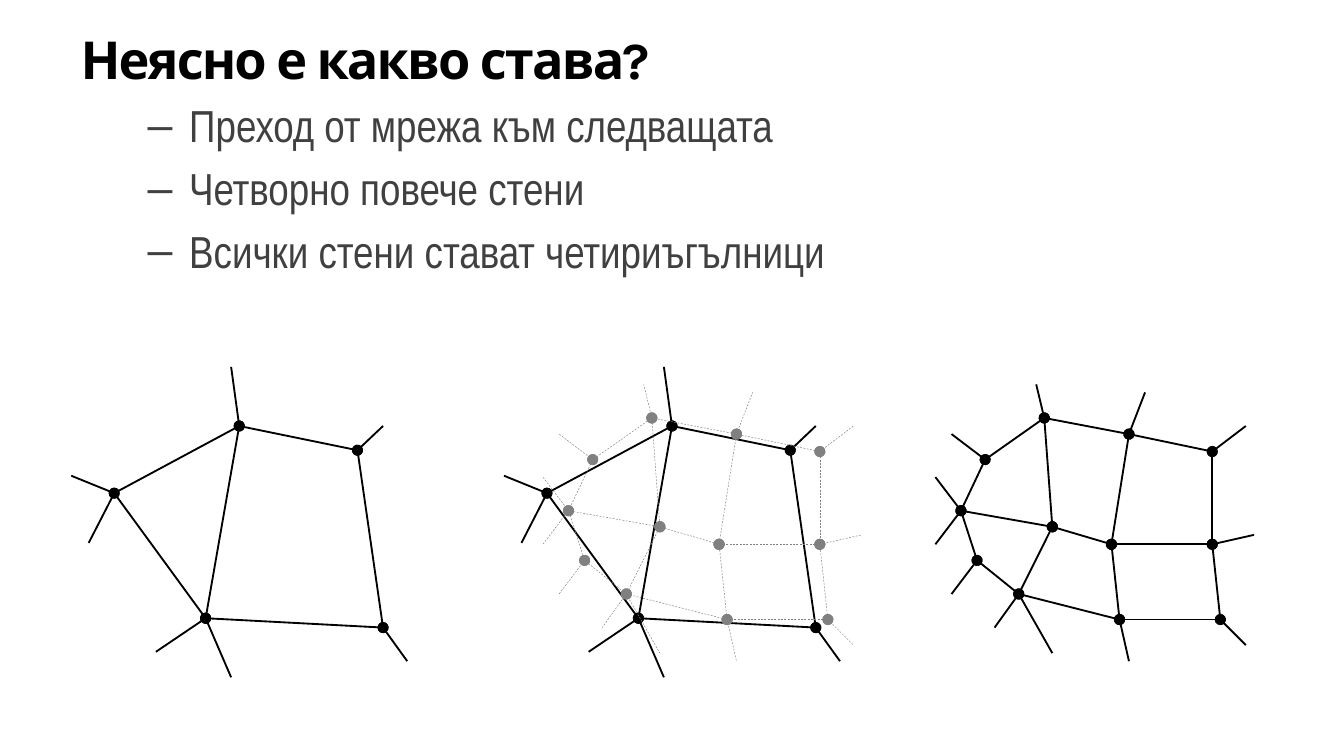
from dataclasses import dataclass
from typing import Optional

from lxml import etree
from pptx import Presentation
from pptx.dml.color import RGBColor
from pptx.enum.dml import MSO_LINE
from pptx.enum.shapes import MSO_CONNECTOR
from pptx.enum.text import MSO_ANCHOR, MSO_AUTO_SIZE, PP_ALIGN
from pptx.oxml.ns import qn
from pptx.util import Inches, Pt

BLACK = RGBColor(0x00, 0x00, 0x00)
DARK_GREY = RGBColor(0x40, 0x40, 0x40)
GREY = RGBColor(0x80, 0x80, 0x80)
DASH = MSO_LINE.DASH
STRAIGHT = MSO_CONNECTOR.STRAIGHT
LEFT = PP_ALIGN.LEFT
TOP = MSO_ANCHOR.TOP
NO_AUTOFIT = MSO_AUTO_SIZE.NONE
TITLE_ONLY = 5

TITLE = "Неясно е какво става?"
BULLETS = [
    "Преход от мрежа към следващата",
    "Четворно повече стени",
    "Всички стени стават четириъгълници",
]

Point = tuple[float, float]


@dataclass(frozen=True)
class Mesh:
    """Named vertices, edges as vertex pairs, and open rays leaving a vertex."""
    vertices: dict[str, Point]
    edges: str
    rays: list[tuple[str, Point]]


@dataclass(frozen=True)
class Pen:
    color: RGBColor
    width: float
    dash: Optional[MSO_LINE] = None


SOLID_PEN = Pen(BLACK, 1)
DASHED_PEN = Pen(GREY, 0.25, DASH)

COARSE_MESH = Mesh(
    vertices={
        "A": (1.78, 3.17), "B": (2.66, 3.35), "C": (0.85, 3.67),
        "D": (1.53, 4.60), "E": (2.85, 4.67),
    },
    edges="BA AD ED BE AC CD",
    rays=[
        ("A", (1.72, 2.73)), ("B", (2.85, 3.17)), ("E", (3.03, 4.92)),
        ("C", (0.53, 3.54)), ("C", (0.66, 4.04)),
        ("D", (1.16, 4.85)), ("D", (1.72, 5.04)),
    ],
)
FINE_MESH = Mesh(
    vertices={
        "A": (7.77, 3.11), "B": (8.40, 3.23), "C": (9.02, 3.36),
        "D": (7.33, 3.42), "E": (7.15, 3.80), "F": (7.83, 3.92),
        "G": (8.27, 4.05), "H": (9.02, 4.05), "I": (7.27, 4.17),
        "J": (7.58, 4.42), "K": (8.33, 4.61), "L": (9.08, 4.61),
    },
    edges="FG CH GB BA AF CB HG KG LH JF DA EF IJ LK KJ DE EI",
    rays=[
        ("C", (9.27, 3.17)), ("H", (9.33, 3.98)), ("L", (9.27, 4.80)),
        ("K", (8.40, 4.92)), ("J", (7.83, 4.86)), ("J", (7.40, 4.67)),
        ("I", (7.08, 4.42)), ("E", (6.96, 4.05)), ("E", (6.96, 3.55)),
        ("D", (7.08, 3.23)), ("A", (7.71, 2.86)), ("B", (8.52, 2.92)),
    ],
)


def draw_line(shapes, start: Point, end: Point, pen: Pen, shift: float, dots: bool) -> None:
    connector = shapes.add_connector(
        STRAIGHT, Inches(start[0] + shift), Inches(start[1]),
        Inches(end[0] + shift), Inches(end[1]))
    line = connector.line
    line.color.rgb = pen.color
    line.width = Pt(pen.width)
    if pen.dash is not None:
        line.dash_style = pen.dash
    properties = connector._element.spPr
    if dots:
        outline = properties.find(qn("a:ln"))
        for tag in ("a:headEnd", "a:tailEnd"):
            etree.SubElement(outline, qn(tag), type="oval")
    etree.SubElement(properties, qn("a:effectLst"))


def draw_mesh(slide, mesh: Mesh, pen: Pen, shift: float = 0) -> None:
    shapes = slide.shapes.add_group_shape().shapes
    for first, second in mesh.edges.split():
        draw_line(shapes, mesh.vertices[first], mesh.vertices[second], pen, shift, dots=True)
    for vertex, end in mesh.rays:
        draw_line(shapes, mesh.vertices[vertex], end, pen, shift, dots=False)


def place_text(shape, top: float, height: float) -> None:
    shape.left, shape.top = Inches(0.5), Inches(top)
    shape.width, shape.height = Inches(9.5), Inches(height)
    frame = shape.text_frame
    frame.word_wrap = True
    frame.auto_size = NO_AUTOFIT
    frame.vertical_anchor = TOP
    frame.margin_left = frame.margin_right = Inches(0.1)
    frame.margin_top = frame.margin_bottom = 0


def add_title(slide) -> None:
    title = slide.shapes.title
    place_text(title, 0.2, 0.53)
    paragraph = title.text_frame.paragraphs[0]
    paragraph.text = TITLE
    paragraph.alignment = LEFT
    font = paragraph.runs[0].font
    font.name, font.size, font.bold = "Karla", Pt(28), True
    font.color.rgb = BLACK
    font._element.set("spc", "-100")


def add_bullets(slide) -> None:
    box = slide.shapes.add_textbox(0, 0, 0, 0)
    place_text(box, 0.73, 1.5)
    frame = box.text_frame
    for index, text in enumerate(BULLETS):
        paragraph = frame.add_paragraph() if index else frame.paragraphs[0]
        paragraph.text = text
        if index:
            paragraph.space_before = Pt(4.8)
        properties = paragraph._p.get_or_add_pPr()
        properties.set("marL", str(Inches(0.81)))
        properties.set("indent", str(-Inches(0.31)))
        etree.SubElement(properties, qn("a:buFont"), typeface="Arial")
        etree.SubElement(properties, qn("a:buChar"), char="–")
        font = paragraph.runs[0].font
        font.name, font.size = "Arial Narrow", Pt(24)
        font.color.rgb = DARK_GREY


def main() -> None:
    presentation = Presentation()
    presentation.slide_width = Inches(10)
    presentation.slide_height = Inches(10) * 9 // 16
    slide = presentation.slides.add_slide(presentation.slide_layouts[TITLE_ONLY])
    add_title(slide)
    add_bullets(slide)
    draw_mesh(slide, COARSE_MESH, SOLID_PEN)
    draw_mesh(slide, FINE_MESH, SOLID_PEN)
    draw_mesh(slide, COARSE_MESH, SOLID_PEN, shift=3.22)
    draw_mesh(slide, FINE_MESH, DASHED_PEN, shift=-2.92)
    presentation.save("out.pptx")


if __name__ == "__main__":
    main()
